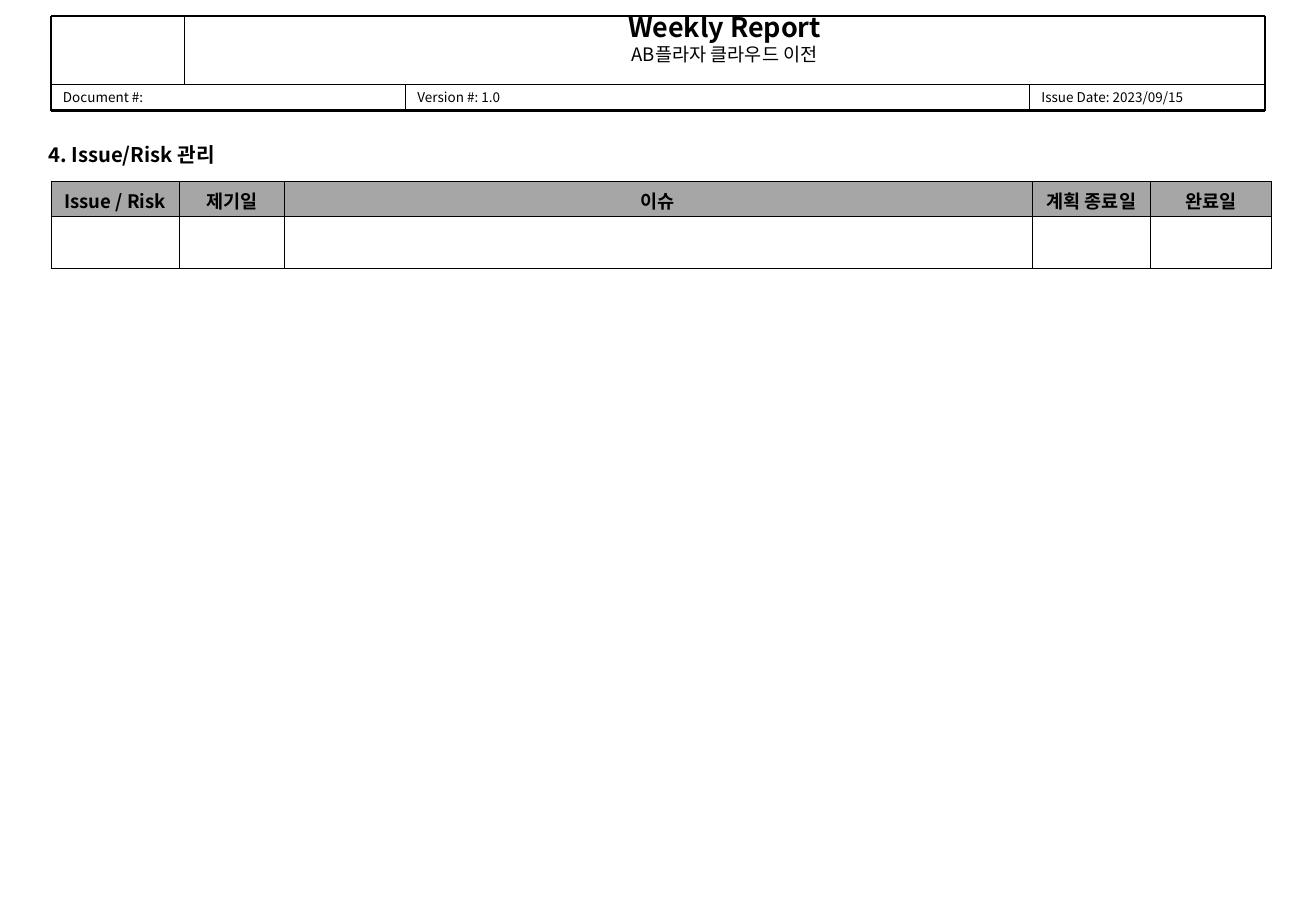
from typing import NamedTuple

import pptx
import pptx.dml.color
import pptx.enum.shapes
import pptx.enum.text
import pptx.oxml
import pptx.oxml.ns
import pptx.util
from pptx.util import Inches

FONT = "Noto Sans CJK KR"
BLACK = "000000"
HEADER_GREY = "A6A6A6"
LEFT, RIGHT, TOP, MIDDLE, BOTTOM = 0.42, 10.42, 0.13, 0.69, 0.91
LOGO_EDGE, VERSION_EDGE, DATE_EDGE = 1.52, 3.34, 8.48
CENTER = pptx.enum.text.PP_ALIGN.CENTER
ALIGN_LEFT = pptx.enum.text.PP_ALIGN.LEFT
ANCHOR_TOP = pptx.enum.text.MSO_ANCHOR.TOP
ANCHOR_MIDDLE = pptx.enum.text.MSO_ANCHOR.MIDDLE


class Line(NamedTuple):
    x1: float
    y1: float
    x2: float
    y2: float
    width: float


class Text(NamedTuple):
    text: str
    size: float
    bold: bool = False


class Field(NamedTuple):
    left: float
    right: float
    text: str


class Column(NamedTuple):
    heading: str
    width: float


FRAME_LINES = [
    Line(LOGO_EDGE, TOP, LOGO_EDGE, MIDDLE, 0.25),
    *(Line(x, MIDDLE, x, BOTTOM, 0.25) for x in (VERSION_EDGE, DATE_EDGE)),
    Line(LEFT, MIDDLE, RIGHT, MIDDLE, 0.25),
    *(Line(x, TOP, x, BOTTOM, 1.5) for x in (LEFT, RIGHT)),
    *(Line(LEFT, y, RIGHT, y, 1.5) for y in (TOP, BOTTOM)),
]
FIELDS = [
    Field(LEFT, VERSION_EDGE, "Document #:"),
    Field(VERSION_EDGE, DATE_EDGE, "Version #: 1.0"),
    Field(DATE_EDGE, RIGHT, "Issue Date: 2023/09/15"),
]
COLUMNS = [
    Column("Issue / Risk", 1.06),
    Column("제기일", 0.86),
    Column("이슈", 6.16),
    Column("계획 종료일", 0.98),
    Column("완료일", 0.99),
]
ROW_HEIGHTS = [0.29, 0.43]


def rgb(color: str) -> pptx.dml.color.RGBColor:
    return pptx.dml.color.RGBColor.from_string(color)


def set_attributes(target, values: dict) -> None:
    for name, value in values.items():
        setattr(target, name, value)


def write(tf, texts: list[Text], align) -> None:
    for i, text in enumerate(texts):
        p = tf.paragraphs[0] if i == 0 else tf.add_paragraph()
        set_attributes(p, {"alignment": align, "space_before": pptx.util.Pt(0)})
        r = p.add_run()
        r.text = text.text
        set_attributes(r.font, {"name": FONT, "size": pptx.util.Pt(text.size), "bold": text.bold})
        r.font.color.rgb = rgb(BLACK)
        ea = pptx.oxml.parse_xml(
            f'<a:ea {pptx.oxml.ns.nsdecls("a")} typeface="{FONT}"/>')
        r.font._element.find(pptx.oxml.ns.qn("a:latin")).addnext(ea)


def format_frame(tf, anchor, margin_y: float, wrap: bool) -> None:
    set_attributes(tf, {
        "margin_left": Inches(0.1), "margin_right": Inches(0.1),
        "margin_top": Inches(margin_y), "margin_bottom": Inches(margin_y),
        "vertical_anchor": anchor, "word_wrap": wrap,
        "auto_size": pptx.enum.text.MSO_AUTO_SIZE.NONE,
    })


def add_text(s, left: float, top: float, width: float, height: float,
             texts: list[Text], align, anchor) -> None:
    sp = s.shapes.add_textbox(*map(Inches, (left, top, width, height)))
    format_frame(sp.text_frame, anchor, 0, True)
    write(sp.text_frame, texts, align)


def add_line(s, line: Line) -> None:
    cx = s.shapes.add_connector(
        pptx.enum.shapes.MSO_CONNECTOR.STRAIGHT,
        *map(Inches, (line.x1, line.y1, line.x2, line.y2)))
    cx.line.width = pptx.util.Pt(line.width)
    cx.line.color.rgb = rgb(BLACK)
    cx._element.spPr.append(
        pptx.oxml.parse_xml(f'<a:effectLst {pptx.oxml.ns.nsdecls("a")}/>'))


def add_borders(cell, width: float) -> None:
    """Put a solid line on all four sides, ahead of the cell's fill."""
    for i, side in enumerate(("lnL", "lnR", "lnT", "lnB")):
        cell._tc.get_or_add_tcPr().insert(i, pptx.oxml.parse_xml(
            f'<a:{side} {pptx.oxml.ns.nsdecls("a")} w="{pptx.util.Pt(width)}">'
            f'<a:solidFill><a:srgbClr val="{BLACK}"/></a:solidFill></a:{side}>'))


def add_issue_table(s) -> None:
    width = sum(column.width for column in COLUMNS)
    table = s.shapes.add_table(
        len(ROW_HEIGHTS), len(COLUMNS),
        *map(Inches, (LEFT, 1.49, width, sum(ROW_HEIGHTS)))).table
    set_attributes(table, {"first_row": False, "horz_banding": False})
    for row, height in zip(table.rows, ROW_HEIGHTS):
        row.height = Inches(height)
    for i, column in enumerate(COLUMNS):
        table.columns[i].width = Inches(column.width)
        heading = table.cell(0, i)
        set_attributes(heading, {
            "margin_left": Inches(0.07), "margin_right": Inches(0.07),
            "margin_top": Inches(0.05), "margin_bottom": Inches(0.02),
            "vertical_anchor": ANCHOR_MIDDLE,
        })
        write(heading.text_frame, [Text(column.heading, 11, True)], CENTER)
        heading.fill.solid()
        heading.fill.fore_color.rgb = rgb(HEADER_GREY)
        table.cell(1, i).fill.background()
        for row in range(len(ROW_HEIGHTS)):
            add_borders(table.cell(row, i), 0.45)


def add_section_title(s) -> None:
    sp = s.shapes.title
    set_attributes(sp, {"left": Inches(0.3), "top": Inches(1.12),
                        "width": Inches(1.67), "height": Inches(0.34)})
    format_frame(sp.text_frame, ANCHOR_TOP, 0.05, False)
    write(sp.text_frame, [Text("4. Issue/Risk 관리", 12, True)], ALIGN_LEFT)


def main() -> None:
    prs = pptx.Presentation()
    set_attributes(prs, {"slide_width": Inches(10.84), "slide_height": Inches(7.5)})
    s = prs.slides.add_slide(prs.slide_layouts.get_by_name("Title Only"))
    add_text(s, LOGO_EDGE, 0.09, RIGHT - LOGO_EDGE, 0.6,
             [Text("Weekly Report", 16, True), Text("AB플라자 클라우드 이전", 11)],
             CENTER, ANCHOR_TOP)
    for field in FIELDS:
        add_text(s, field.left, MIDDLE, field.right - field.left, BOTTOM - MIDDLE,
                 [Text(field.text, 8)], ALIGN_LEFT, ANCHOR_MIDDLE)
    for line in FRAME_LINES:
        add_line(s, line)
    add_section_title(s)
    add_issue_table(s)
    prs.save("out.pptx")


if __name__ == "__main__":
    main()
